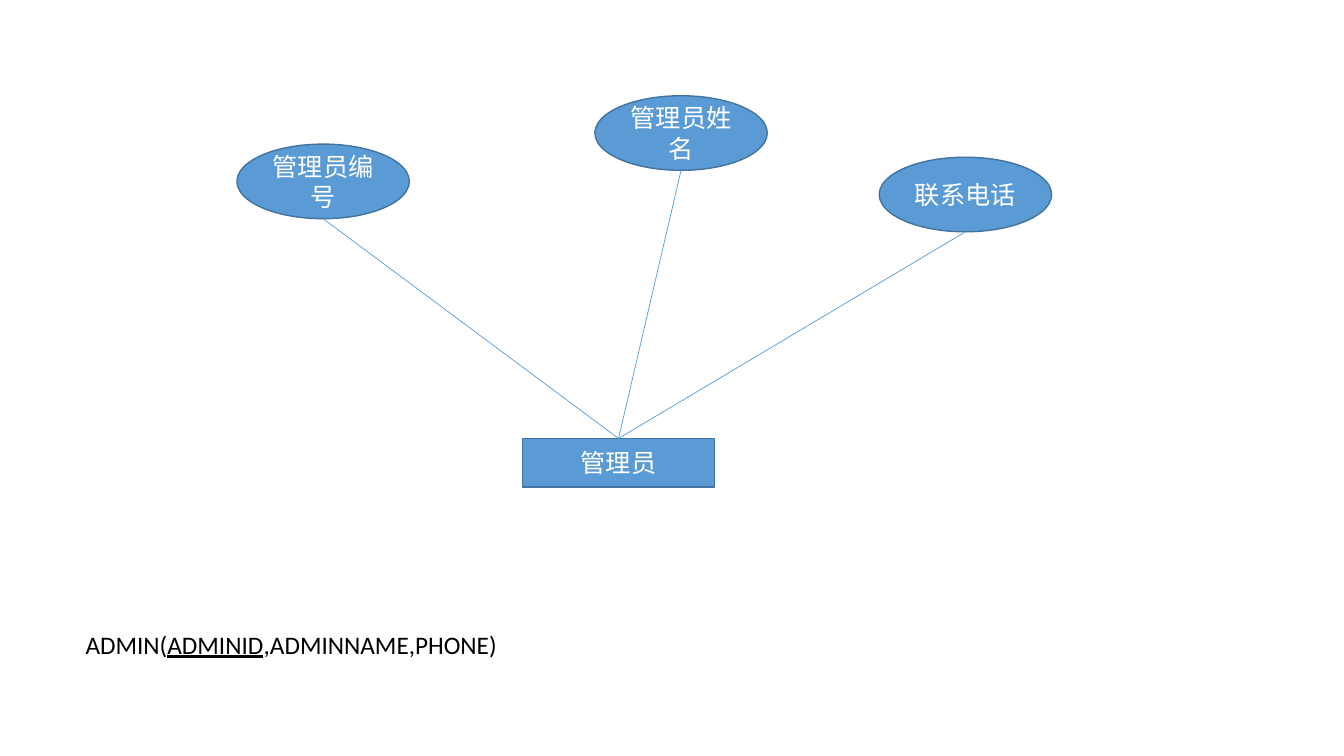
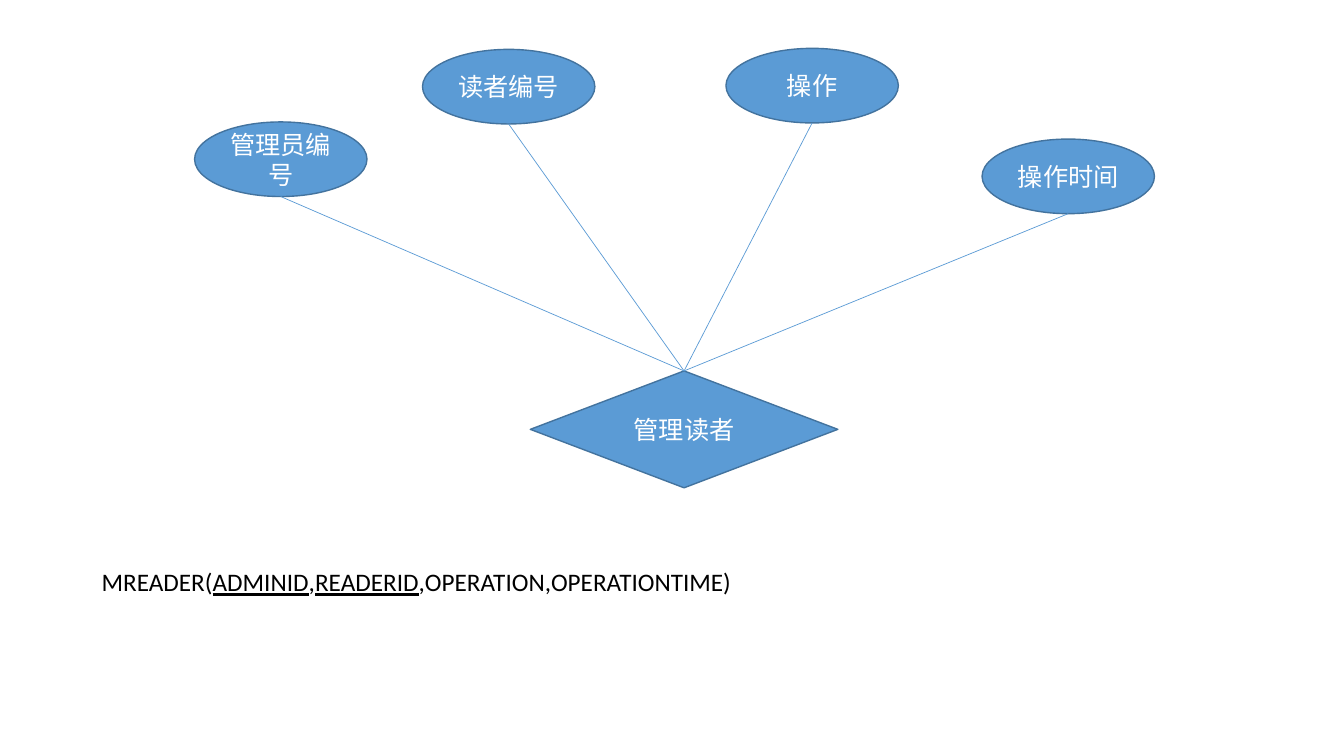
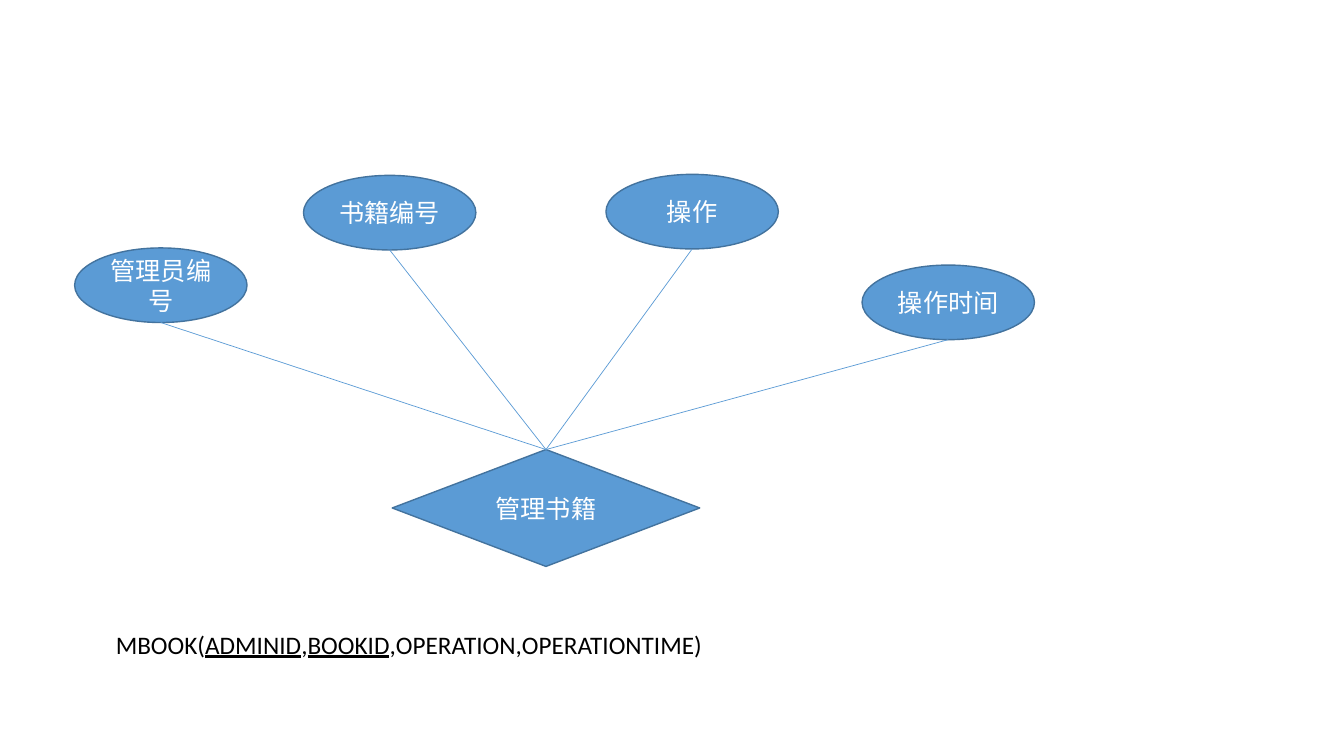
"""Build three entity-relationship slides for a library database."""
from pptx import Presentation
from pptx.dml.color import RGBColor
from pptx.enum.shapes import MSO_CONNECTOR, MSO_SHAPE as Kind
from pptx.enum.text import MSO_ANCHOR, PP_ALIGN
from pptx.oxml.xmlchemy import OxmlElement
from pptx.util import Inches, Pt

BLUE = RGBColor(0x5B, 0x9B, 0xD5)
EDGE = RGBColor(0x43, 0x73, 0x9E)
WHITE = RGBColor(255, 255, 255)
BLACK = RGBColor(0, 0, 0)
FONT, SIZE = "Calibri", Pt(18)

OVAL = (1.71, 0.74)
BOX = (1.91, 0.48)
GEM = (3.05, 1.16)
TIME = ",OPERATION,OPERATIONTIME)"

SLIDES = [
    {
        "hub": ("管理员", Kind.RECTANGLE, (5.18, 4.35), BOX),
        "fields": [("管理员编号", (2.35, 1.43)), ("管理员姓名", (5.9, 0.95)),
                   ("联系电话", (8.72, 1.56))],
        "schema": ("ADMIN(", ["ADMINID"], ",ADMINNAME,PHONE)"),
        "place": (0.75, 6.19, 7.17, 0.4),
    },
    {
        "hub": ("管理读者", Kind.DIAMOND, (5.26, 3.68), GEM),
        "fields": [("管理员编号", (1.93, 1.21)), ("读者编号", (4.19, 0.49)),
                   ("操作", (7.2, 0.48)), ("操作时间", (9.74, 1.38))],
        "schema": ("MREADER(", ["ADMINID", "READERID"], TIME),
        "place": (0.91, 5.57, 8.3, 0.4),
    },
    {
        "hub": ("管理书籍", Kind.DIAMOND, (3.89, 4.46), GEM),
        "fields": [("管理员编号", (0.74, 2.46)), ("书籍编号", (3.01, 1.74)),
                   ("操作", (6.01, 1.73)), ("操作时间", (8.55, 2.63))],
        "schema": ("MBOOK(", ["ADMINID", "BOOKID"], TIME),
        "place": (1.05, 6.19, 6.54, 0.4),
    },
]


def style(run, color):
    run.font.name, run.font.size = FONT, SIZE
    run.font.color.rgb = color


def add_node(slide, text, kind, spot, size):
    node = slide.shapes.add_shape(kind, *map(Inches, spot + size))
    node.shadow.inherit = False
    node.fill.solid()
    node.fill.fore_color.rgb = BLUE
    node.line.color.rgb = EDGE
    node.line.width = Pt(1)
    frame = node.text_frame
    frame.text = text
    frame.word_wrap = True
    frame.vertical_anchor = MSO_ANCHOR.MIDDLE
    para = frame.paragraphs[0]
    para.alignment = PP_ALIGN.CENTER
    style(para.runs[0], WHITE)
    return node


def add_link(slide, field, hub):
    link = slide.shapes.add_connector(
        MSO_CONNECTOR.STRAIGHT,
        field.left + field.width // 2, field.top + field.height,
        hub.left + hub.width // 2, hub.top)
    link.line.color.rgb = BLUE
    link.line.width = Pt(0.5)
    link._element.spPr.append(OxmlElement("a:effectLst"))


def add_schema(slide, schema, place):
    head, keys, tail = schema
    frame = slide.shapes.add_textbox(*map(Inches, place)).text_frame
    frame.word_wrap = True
    parts = [(head, False)]
    for i, key in enumerate(keys):
        if i:
            parts.append((",", False))
        parts.append((key, True))
    parts.append((tail, False))
    for text, under in parts:
        run = frame.paragraphs[0].add_run()
        run.text = text
        style(run, BLACK)
        run.font.underline = under


deck = Presentation()
deck.slide_width, deck.slide_height = Inches(13.33), Inches(7.5)
blank = deck.slide_layouts[6]
for data in SLIDES:
    slide = deck.slides.add_slide(blank)
    hub = add_node(slide, *data["hub"])
    for text, spot in data["fields"]:
        field = add_node(slide, text, Kind.OVAL, spot, OVAL)
        add_link(slide, field, hub)
    add_schema(slide, data["schema"], data["place"])
deck.save("out.pptx")
